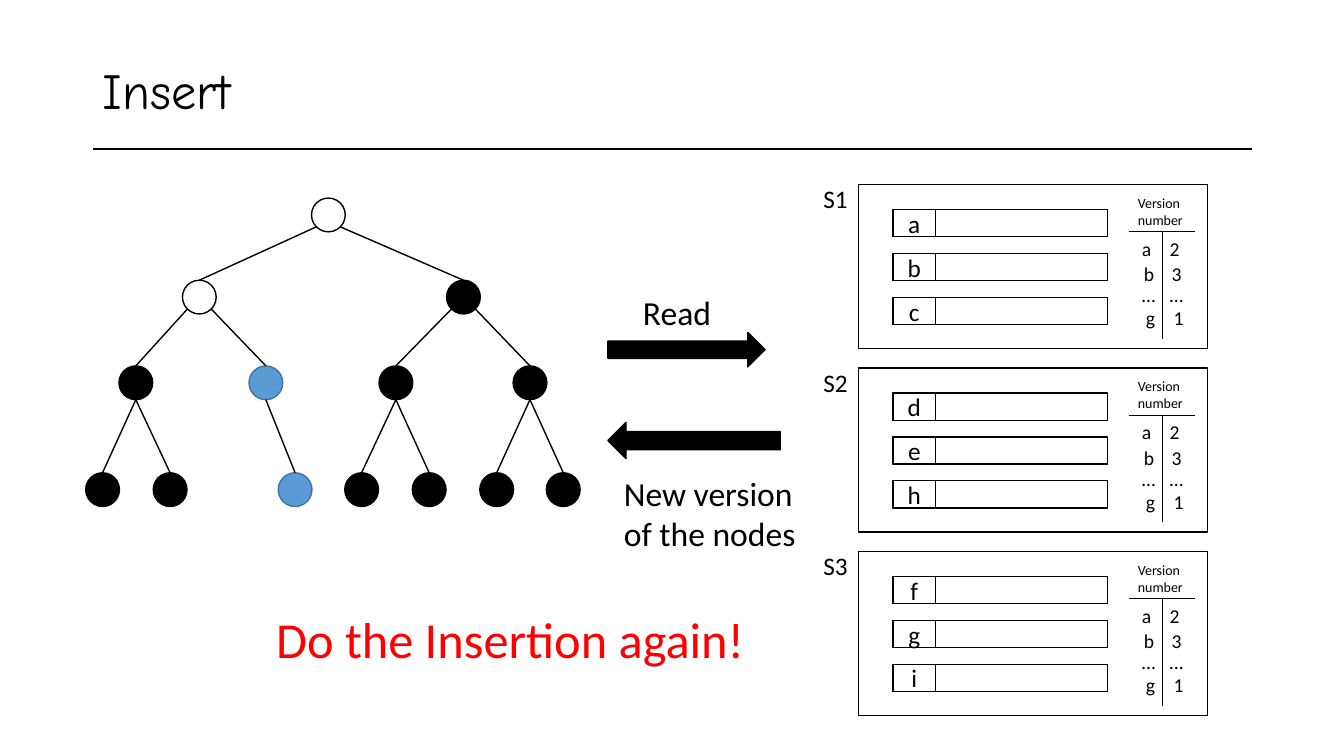
from lxml import etree
from pptx import Presentation
from pptx import util as u
from pptx.dml.color import RGBColor
from pptx.enum import shapes as kinds, text as t
from pptx.oxml.ns import qn

BLACK = RGBColor(0, 0, 0)
WHITE = RGBColor(255, 255, 255)
RED = RGBColor(255, 0, 0)
BLUE = RGBColor(0x5B, 0x9B, 0xD5)
DARK_BLUE = RGBColor(0x43, 0x73, 0x9E)

SLIDE_W, SLIDE_H = u.Inches(13.333), u.Inches(7.5)
CELL = SLIDE_H / 75  # square grid: 75 rows, 133.33 columns

# Tree nodes from the top level down: (left column, parent index, fill)
NODE = 3.35
LEVEL_ROWS = (19.65, 27.8, 36.3, 46.9)
LEVELS = (
    ((30.9, None, WHITE),),
    ((18.1, 0, WHITE), (44.3, 0, BLACK)),
    ((11.8, 0, BLACK), (24.7, 0, BLUE), (37.6, 1, BLACK), (50.9, 1, BLACK)),
    ((8.5, 0, BLACK), (15.2, 0, BLACK), (27.6, 1, BLUE), (34.2, 2, BLACK),
     (40.9, 2, BLACK), (47.6, 3, BLACK), (54.2, 3, BLACK)),
)

SERVERS = (("S1", "abc"), ("S2", "deh"), ("S3", "fgi"))
SERVER_PITCH = 18.2
# Version entries: (key, version, column and row within the server)
VERSIONS = (("a", "2", 27.1, 4.7), ("b", "3", 27.3, 7.2),
            ("…", "…", 27.1, 9.3), ("g", "1", 27.5, 11.6))


def grid(*cells):
    return [u.Emu(round(cell * CELL)) for cell in cells]


def write(shape, words, size, color=BLACK, font="Calibri", align=t.PP_ALIGN.LEFT):
    paragraph = shape.text_frame.paragraphs[0]
    paragraph.text = words
    paragraph.alignment = align
    paragraph.font.size = u.Pt(size)
    paragraph.font.name = font
    paragraph.font.color.rgb = color
    return paragraph


def add_label(shapes, box, words, size, wrap=True, **style):
    label = shapes.add_textbox(*grid(*box))
    label.text_frame.word_wrap = wrap
    write(label, words, size, **style)
    return label


def add_outlined(shapes, preset, box, fill=WHITE, outline=BLACK):
    shape = shapes.add_shape(preset, *grid(*box))
    shape.shadow.inherit = False
    shape.fill.solid()
    shape.fill.fore_color.rgb = fill
    shape.line.color.rgb = outline
    shape.line.width = u.Pt(1)
    return shape


def add_line(shapes, ends, width=1):
    line = shapes.add_connector(kinds.MSO_CONNECTOR.STRAIGHT, *grid(*ends))
    line.line.color.rgb = BLACK
    line.line.width = u.Pt(width)
    etree.SubElement(line._element.spPr, qn("a:effectLst"))
    return line


def draw_heading(shapes, left, top, width, height):
    title = add_label(shapes, (left, top, width, height), "Insert", 36, font="Comic Neue")
    title.text_frame.vertical_anchor = t.MSO_ANCHOR.MIDDLE
    title.text_frame.paragraphs[0].line_spacing = 0.9
    add_line(shapes, (left, top + 10.8, left + width, top + 10.8), 1.5)


def draw_tree(shapes):
    """Place each level and join every node to its parent above."""
    for depth, (row, nodes) in enumerate(zip(LEVEL_ROWS, LEVELS)):
        for left, parent, fill in nodes:
            outline = DARK_BLUE if fill == BLUE else BLACK
            node = add_outlined(shapes, kinds.MSO_SHAPE.OVAL,
                                (left, row, NODE, NODE), fill, outline)
            if parent is None:
                continue
            parent_left = LEVELS[depth - 1][parent][0]
            parent_row = LEVEL_ROWS[depth - 1]
            # Upper edges leave the circle diagonally, the lowest from its bottom
            if depth == len(LEVELS) - 1:
                share_x, share_y = 0.5, 1
            else:
                share_x, share_y = (0.15 if left < parent_left else 0.85), 0.85
            edge = add_line(shapes, (parent_left + share_x * NODE,
                                     parent_row + share_y * NODE,
                                     left + NODE / 2, row))
            edge.end_connect(node, 0)


def draw_exchange(shapes, left, top):
    """Arrows between the tree and the servers, with their captions."""
    arrow = kinds.MSO_SHAPE.RIGHT_ARROW
    add_outlined(shapes, arrow, (left, top + 4.5, 15.6, 3.4), BLACK)
    add_label(shapes, (left + 2.5, top, 8.9, 5), "Read", 24, wrap=False)
    reply = add_outlined(shapes, arrow, (left, top + 13.4, 17.1, 3.6), BLACK)
    reply.rotation = 180
    add_label(shapes, (left + 0.6, top + 17.9, 19.9, 9.1),
              "New version of the nodes", 24)


def draw_versions(shapes, left, top):
    add_line(shapes, (left + 26.8, top + 4.7, left + 33.3, top + 4.7), 0.5)
    add_line(shapes, (left + 30.1, top + 4.7, left + 30.1, top + 15.3), 0.5)
    add_label(shapes, (left + 26.7, top + 0.5, 10.2, 4.4), "Version number", 10)
    for key, version, column, row in VERSIONS:
        entry = add_label(shapes, (left + column, top + row, 6.2, 3.4),
                          f"{key}\t{version}", 14)
        properties = entry.text_frame.paragraphs[0]._p.get_or_add_pPr()
        stops = etree.Element(qn("a:tabLst"))
        etree.SubElement(stops, qn("a:tab"), pos=str(grid(2.75)[0]), algn="l")
        properties.insert(0, stops)


def draw_server(shapes, left, top, name, keys):
    rect = kinds.MSO_SHAPE.RECTANGLE
    add_outlined(shapes, rect, (left, top, 34.6, 16.3))
    for index, key in enumerate(keys):
        row = top + 2.5 + 4.35 * index
        add_outlined(shapes, rect, (left + 3.4, row, 21.3, 2.7))
        key_cell = add_outlined(shapes, rect, (left + 3.4, row, 4.2, 2.7))
        key_cell.text_frame.vertical_anchor = t.MSO_ANCHOR.MIDDLE
        write(key_cell, key, 18, align=t.PP_ALIGN.CENTER)
    add_label(shapes, (left - 4.5, top - 0.6, 4.5, 4), name, 18, wrap=False)
    draw_versions(shapes, left, top)


def main():
    deck = Presentation()
    deck.slide_width, deck.slide_height = SLIDE_W, SLIDE_H
    shapes = deck.slides.add_slide(deck.slide_layouts[6]).shapes
    draw_heading(shapes, 9.2, 4, 115, 10.5)
    draw_tree(shapes)
    draw_exchange(shapes, 60.3, 28.5)
    add_label(shapes, (26.4, 59.8, 50.5, 7.1), "Do the Insertion again!", 36, color=RED)
    for index, (name, keys) in enumerate(SERVERS):
        server = shapes.add_group_shape()
        draw_server(server.shapes, 85.2, 18.3 + SERVER_PITCH * index, name, keys)
    deck.save("out.pptx")


if __name__ == "__main__":
    main()
